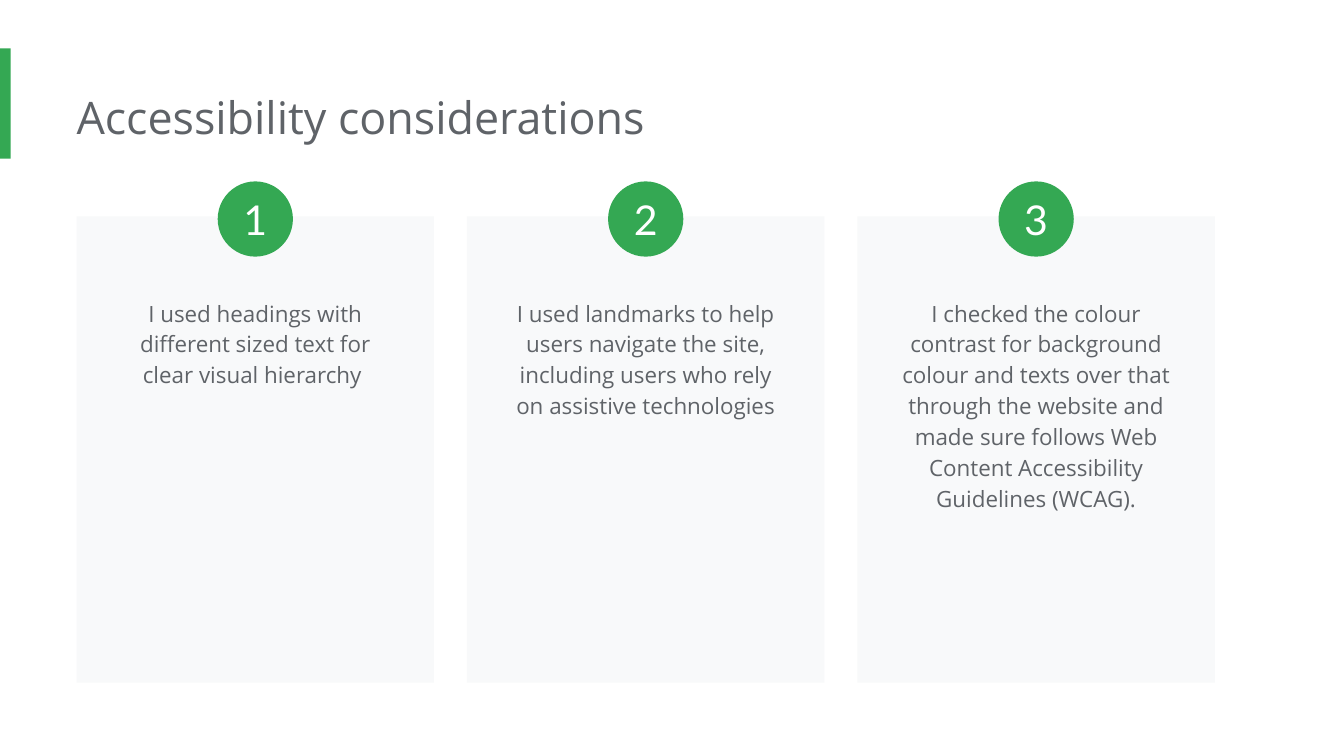
from dataclasses import dataclass

from pptx import Presentation
from pptx.dml.color import RGBColor
from pptx.enum.shapes import MSO_SHAPE
from pptx.enum.text import MSO_ANCHOR, MSO_AUTO_SIZE, PP_ALIGN
from pptx.shapes.autoshape import Shape
from pptx.slide import Slide
from pptx.util import Inches, Pt

GREEN = RGBColor(0x34, 0xA8, 0x53)
PALE = RGBColor(0xF8, 0xF9, 0xFA)
GREY = RGBColor(0x5F, 0x63, 0x68)
WHITE = RGBColor(0xFF, 0xFF, 0xFF)

SLIDE_W = 10
SLIDE_H = SLIDE_W * 9 / 16
FIRST_LEFT, LAST_LEFT = 0.57, 6.38
CARD_TOP, CARD_W, CARD_H = 1.61, 2.66, 3.47
BADGE_TOP, BADGE_SIZE = 1.35, 0.56
TEXT_TOP, TEXT_W = 2.1, 2.24


@dataclass
class Card:
    text: str
    text_height: float


CARDS = [
    Card("I used headings with different sized text for clear visual hierarchy ", 0.87),
    Card(
        "I used landmarks to help users navigate the site, including users "
        "who rely on assistive technologies",
        1.33,
    ),
    Card(
        "I checked the colour contrast for background colour and texts over that "
        "through the website and made sure follows Web Content Accessibility "
        "Guidelines (WCAG).",
        1.8,
    ),
]


def add_block(s: Slide, kind: MSO_SHAPE, left: float, top: float,
              width: float, height: float, fill: RGBColor) -> Shape:
    sp = s.shapes.add_shape(kind, Inches(left), Inches(top), Inches(width), Inches(height))
    sp.shadow.inherit = False
    sp.fill.solid()
    sp.fill.fore_color.rgb = fill
    sp.line.fill.background()
    return sp


def write(sp: Shape, text: str, font: str, size: float, color: RGBColor,
          align: PP_ALIGN, inset: float, spacing: float = 1.0) -> None:
    tf = sp.text_frame
    tf.word_wrap = True
    tf.margin_left = tf.margin_right = tf.margin_top = tf.margin_bottom = Inches(inset)
    tf.text = text
    p = tf.paragraphs[0]
    p.alignment = align
    p.line_spacing = spacing
    r = p.runs[0]
    r.font.name = font
    r.font.size = Pt(size)
    r.font.color.rgb = color


def add_text(s: Slide, left: float, top: float, width: float, height: float) -> Shape:
    sp = s.shapes.add_textbox(Inches(left), Inches(top), Inches(width), Inches(height))
    sp.text_frame.auto_size = MSO_AUTO_SIZE.SHAPE_TO_FIT_TEXT
    return sp


def add_card(s: Slide, number: int, left: float, card: Card) -> None:
    add_block(s, MSO_SHAPE.RECTANGLE, left, CARD_TOP, CARD_W, CARD_H, PALE)
    badge = add_block(s, MSO_SHAPE.OVAL, left + (CARD_W - BADGE_SIZE) / 2, BADGE_TOP,
                      BADGE_SIZE, BADGE_SIZE, GREEN)
    write(badge, str(number), "Lato", 22, WHITE, PP_ALIGN.CENTER, 0)
    badge.text_frame.vertical_anchor = MSO_ANCHOR.MIDDLE
    body = add_text(s, left + (CARD_W - TEXT_W) / 2, TEXT_TOP, TEXT_W, card.text_height)
    write(body, card.text, "Open Sans", 12, GREY, PP_ALIGN.CENTER, 0.1, 1.15)


def main() -> None:
    prs = Presentation()
    prs.slide_width, prs.slide_height = Inches(SLIDE_W), Inches(SLIDE_H)
    s = prs.slides.add_slide(prs.slide_layouts[6])

    add_block(s, MSO_SHAPE.RECTANGLE, 0, 0.36, 0.08, 0.82, GREEN)
    title = add_text(s, FIRST_LEFT, 0.57, 7.66, 0.61)
    write(title, "Accessibility considerations", "Open Sans", 24, GREY, PP_ALIGN.LEFT, 0.1)
    title.text_frame.margin_left = 0

    pitch = (LAST_LEFT - FIRST_LEFT) / (len(CARDS) - 1)
    for i, card in enumerate(CARDS):
        add_card(s, i + 1, FIRST_LEFT + i * pitch, card)

    prs.save("out.pptx")


if __name__ == "__main__":
    main()
